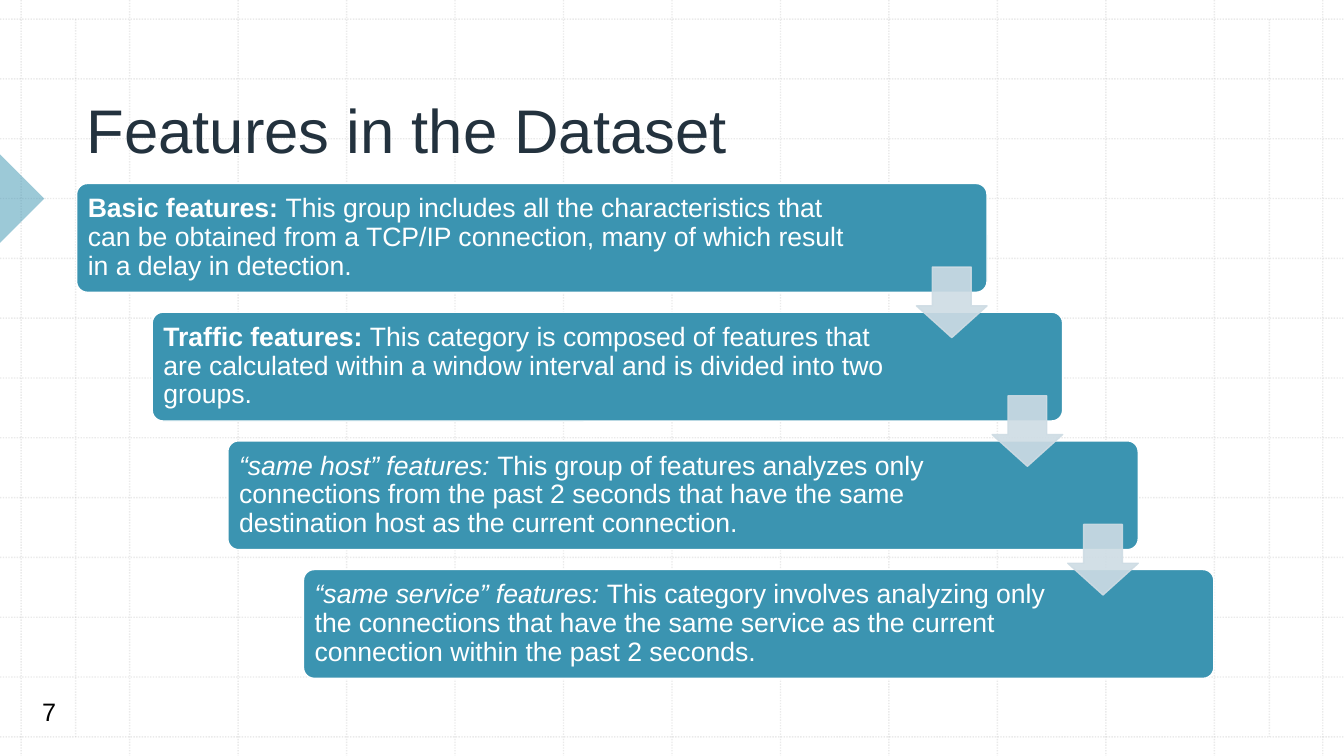
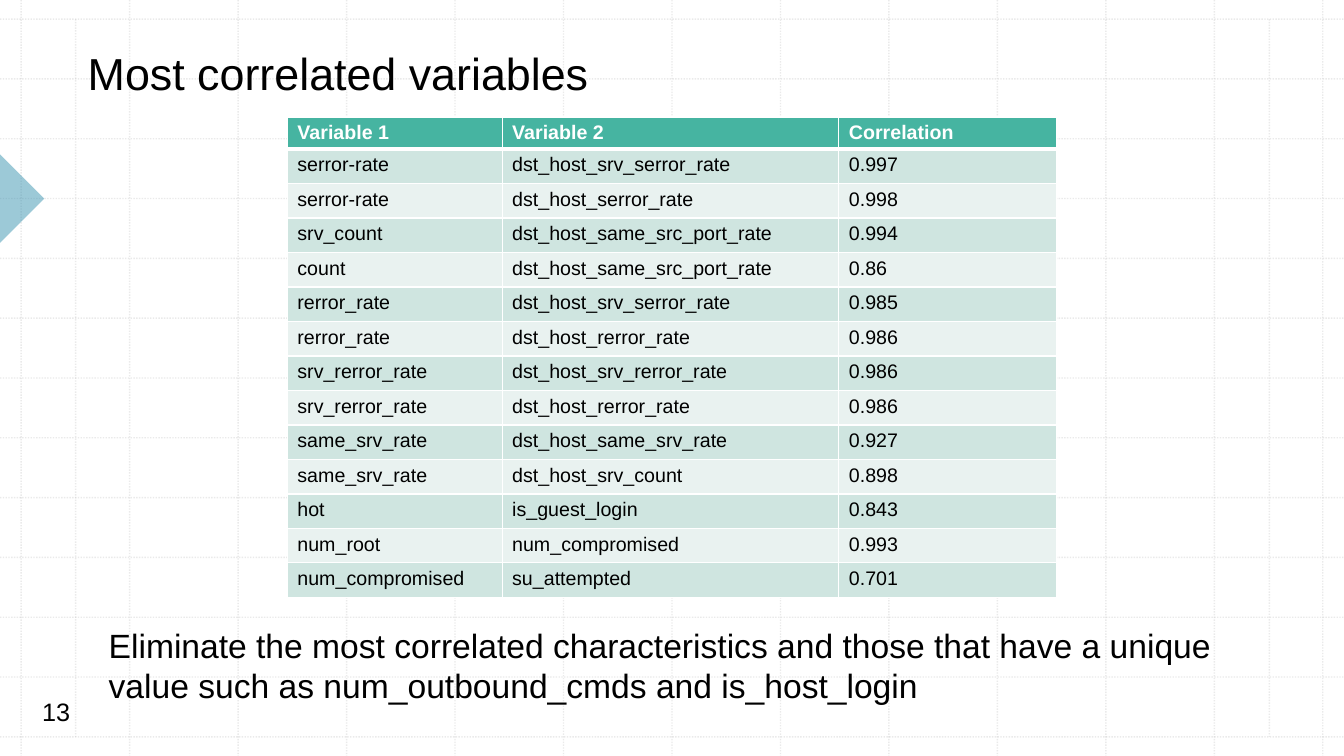
from lxml.etree import SubElement
from pptx import Presentation
from pptx.dml.color import RGBColor
from pptx.enum.dml import MSO_LINE
from pptx.enum.shapes import MSO_CONNECTOR, MSO_SHAPE
from pptx.enum.text import MSO_ANCHOR, MSO_AUTO_SIZE, PP_ALIGN
from pptx.oxml.ns import qn
from pptx.util import Inches, Pt

WIDTH, HEIGHT = 13.33, 7.5
FONT = "Arial"
BLACK = RGBColor(0x00, 0x00, 0x00)
WHITE = RGBColor(0xFF, 0xFF, 0xFF)
NAVY = RGBColor(0x23, 0x32, 0x3E)
BLUE = RGBColor(0x3B, 0x94, 0xB1)
PALE_BLUE = RGBColor(0xCE, 0xDC, 0xE4)
GRID_GREY = RGBColor(0xBC, 0xBC, 0xBC)
GREEN = RGBColor(0x46, 0xB4, 0xA1)
BAND_DARK = RGBColor(0xCF, 0xE5, 0xE0)
BAND_LIGHT = RGBColor(0xE9, 0xF2, 0xF0)

# Lead words, whether they are bold (else italic), the rest, right inset
FEATURES = [
    ("Basic features: ", True,
     "This group includes all the characteristics that can be obtained from a "
     "TCP/IP connection, many of which result in a delay in detection.", 1.27),
    ("Traffic features: ", True,
     "This category is composed of features that are calculated within a "
     "window interval and is divided into two groups.", 1.54),
    ("“same host” features: ", False,
     "This group of features analyzes only connections from the past 2 seconds "
     "that have the same destination host as the current connection.", 1.54),
    ("“same service” features: ", False,
     "This category involves analyzing only the connections that have the same "
     "service as the current connection within the past 2 seconds.", 1.54),
]

CORRELATIONS = [
    ("Variable 1", "Variable 2", "Correlation"),
    ("serror-rate", "dst_host_srv_serror_rate", "0.997"),
    ("serror-rate", "dst_host_serror_rate", "0.998"),
    ("srv_count", "dst_host_same_src_port_rate", "0.994"),
    ("count", "dst_host_same_src_port_rate", "0.86"),
    ("rerror_rate", "dst_host_srv_serror_rate", "0.985"),
    ("rerror_rate", "dst_host_rerror_rate", "0.986"),
    ("srv_rerror_rate", "dst_host_srv_rerror_rate", "0.986"),
    ("srv_rerror_rate", "dst_host_rerror_rate", "0.986"),
    ("same_srv_rate", "dst_host_same_srv_rate", "0.927"),
    ("same_srv_rate", "dst_host_srv_count", "0.898"),
    ("hot", "is_guest_login", "0.843"),
    ("num_root", "num_compromised", "0.993"),
    ("num_compromised", "su_attempted", "0.701"),
]


def inches(box):
    return [Inches(length) for length in box]


def add_span(para, text, size, color, bold=False, italic=False):
    span = para.add_run()
    span.text = text
    font = span.font
    font.name, font.size, font.bold, font.italic = FONT, Pt(size), bold, italic
    font.color.rgb = color


def set_opacity(shape, percent):
    """Apply one opacity to every colour of the shape's fill and line."""
    for color in shape.element.spPr.iter(qn("a:srgbClr")):
        SubElement(color, qn("a:alpha"), val=str(percent * 1000))


def add_block(page, preset, box, fill, line=None):
    block = page.shapes.add_shape(preset, *inches(box))
    block.shadow.inherit = False
    block.fill.solid()
    block.fill.fore_color.rgb = fill
    if line is None:
        block.line.fill.background()
    else:
        block.line.color.rgb = line
        block.line.width = Pt(1)
    return block


def add_text(page, box, text, size):
    frame = page.shapes.add_textbox(*inches(box)).text_frame
    frame.word_wrap = True
    add_span(frame.paragraphs[0], text, size, BLACK)


def set_title(page, box, text, size, color):
    title = page.shapes.title
    title.left, title.top, title.width, title.height = inches(box)
    frame = title.text_frame
    frame.word_wrap = True
    frame.auto_size = MSO_AUTO_SIZE.NONE
    frame.vertical_anchor = MSO_ANCHOR.BOTTOM
    frame.paragraphs[0].alignment = PP_ALIGN.LEFT
    add_span(frame.paragraphs[0], text, size, color)


def add_grid_line(page, left, top, right, bottom):
    rule = page.shapes.add_connector(
        MSO_CONNECTOR.STRAIGHT, *inches((left, top, right, bottom)))
    rule.line.color.rgb = GRID_GREY
    rule.line.width = Pt(1)
    rule.line.dash_style = MSO_LINE.ROUND_DOT
    set_opacity(rule, 30)
    SubElement(rule.element.spPr, qn("a:effectLst"))
    return rule


def decorate_master(deck, page):
    """Draw the dotted grid and side triangle, then move them to the master."""
    left, right, top, bottom, gaps = 0.21, 13.12, 0.19, 7.31, 12
    parts = []
    for index in range(gaps + 1):
        x = left + index * (right - left) / gaps
        y = top + index * (bottom - top) / gaps
        parts.append(add_grid_line(page, x, 0, x, HEIGHT))
        parts.append(add_grid_line(page, 0, y, WIDTH, y))
    for x in (0.75, 12.59):
        parts.append(add_grid_line(page, x, top, x, bottom))
    triangle = add_block(
        page, MSO_SHAPE.RIGHT_TRIANGLE, (-0.31, 1.66, 0.62, 0.62), BLUE)
    triangle.rotation = 225
    set_opacity(triangle, 50)
    parts.append(triangle)
    tree = deck.slide_master.shapes.element
    for index, part in enumerate(parts):
        next(part.element.iter(qn("p:cNvPr"))).set("id", str(100 + index))
        tree.insert(2 + index, part.element)


def add_page_number(page, number):
    add_text(page, (0.32, 6.86, 0.66, 0.4), number, 18)


def add_feature_card(page, box, lead, bold, rest, right_inset):
    card = add_block(page, MSO_SHAPE.ROUNDED_RECTANGLE, box, BLUE, WHITE)
    card.adjustments[0] = 0.1
    frame = card.text_frame
    frame.word_wrap = True
    frame.vertical_anchor = MSO_ANCHOR.MIDDLE
    frame.margin_left = frame.margin_top = frame.margin_bottom = Inches(0.08)
    frame.margin_right = Inches(right_inset)
    para = frame.paragraphs[0]
    para.alignment = PP_ALIGN.LEFT
    para.line_spacing = 0.9
    add_span(para, lead, 19, WHITE, bold=bold, italic=not bold)
    add_span(para, rest, 19, WHITE)


def add_staircase(page, box):
    """Place the feature cards as steps, with an arrow down to each next one."""
    left, top, width, height = box
    card_width, card_height, arrow_size = 9.03, 1.08, 0.7
    last = len(FEATURES) - 1
    step_x = (width - card_width) / last
    step_y = (height - card_height) / last
    for index, feature in enumerate(FEATURES):
        add_feature_card(page, (left + index * step_x, top + index * step_y,
                                card_width, card_height), *feature)
    for index in range(last):
        x = left + index * step_x + card_width - arrow_size
        y = top + index * step_y + 0.83
        arrow = add_block(page, MSO_SHAPE.DOWN_ARROW,
                          (x, y, arrow_size, arrow_size), PALE_BLUE, PALE_BLUE)
        arrow.adjustments[0], arrow.adjustments[1] = 0.45, 0.55
        # The first handle of a down arrow is its shaft width
        arrow.adjustments[0], arrow.adjustments[1] = 0.55, 0.45
        set_opacity(arrow, 90)


def set_borders(cell, widths):
    """Draw white cell borders; widths maps a side (L, R, T, B) to points."""
    properties = cell._tc.get_or_add_tcPr()
    for side, width in widths.items():
        border = SubElement(properties, qn(f"a:ln{side}"), w=str(Pt(width)))
        fill = SubElement(border, qn("a:solidFill"))
        SubElement(fill, qn("a:srgbClr"), val=str(WHITE))


def add_correlation_table(page, box):
    header_height = 0.31
    row_height = (box[3] - header_height) / (len(CORRELATIONS) - 1)
    table = page.shapes.add_table(
        len(CORRELATIONS), len(CORRELATIONS[0]), *inches(box)).table
    for column, width in zip(table.columns, (2.13, 3.34, 2.16)):
        column.width = Inches(width)
    for row, values in enumerate(CORRELATIONS):
        header = row == 0
        table.rows[row].height = Inches(header_height if header else row_height)
        band = GREEN if header else BAND_DARK if row % 2 else BAND_LIGHT
        for column, value in enumerate(values):
            cell = table.cell(row, column)
            set_borders(cell, {"L": 1, "R": 1, "T": 3 if row == 1 else 1,
                               "B": 3 if header else 1})
            cell.fill.solid()
            cell.fill.fore_color.rgb = band
            add_span(cell.text_frame.paragraphs[0], value, 14,
                     WHITE if header else BLACK, bold=header)


def build_features_page(page):
    set_title(page, (0.76, 0.79, 11.29, 0.91), "Features in the Dataset", 44, NAVY)
    add_staircase(page, (0.76, 1.82, 11.28, 4.91))
    add_page_number(page, "7")


def build_correlation_page(page):
    set_title(page, (0.77, 0.4, 10.41, 0.64), "Most correlated variables", 32, BLACK)
    add_correlation_table(page, (2.85, 1.16, 7.63, 4.76))
    add_text(page, (0.98, 6.15, 11.87, 0.91),
             "Eliminate the most correlated characteristics and those that have a "
             "unique value such as num_outbound_cmds and is_host_login", 24)
    add_page_number(page, "13")


def main():
    deck = Presentation()
    deck.slide_width, deck.slide_height = Inches(WIDTH), Inches(HEIGHT)
    title_only = deck.slide_layouts[5]
    features_page = deck.slides.add_slide(title_only)
    decorate_master(deck, features_page)
    build_features_page(features_page)
    build_correlation_page(deck.slides.add_slide(title_only))
    deck.save("out.pptx")


if __name__ == "__main__":
    main()
